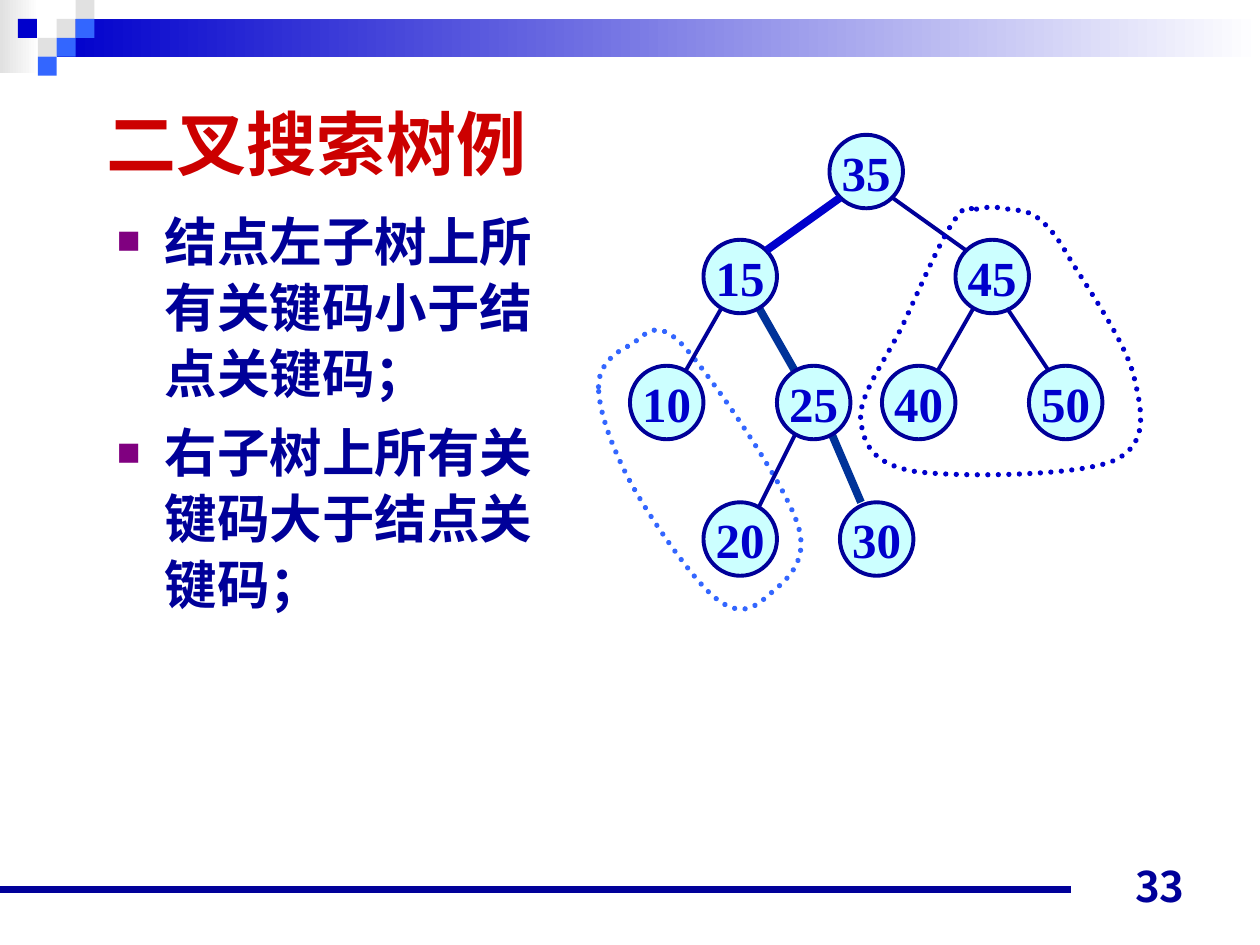
from dataclasses import dataclass
from typing import NamedTuple

import lxml.etree
import pptx
import pptx.dml.color
import pptx.enum.dml
import pptx.enum.shapes
import pptx.enum.text
import pptx.oxml.ns
import pptx.util


@dataclass(frozen=True)
class Theme:
    white: str = "FFFFFF"
    grey: str = "E1E1E1"
    royal: str = "0000CC"
    sky: str = "3366FF"
    navy: str = "000099"
    steel: str = "003399"
    node: str = "CCFFFF"
    title: str = "CC0000"
    bullet: str = "800080"
    text_font: str = "Arial"
    asian_font: str = "Noto Sans CJK JP"
    node_font: str = "Times New Roman"
    title_size: int = 40
    body_size: int = 30
    node_size: int = 28
    number_size: int = 24
    thin: float = 2.25
    dotted: float = 3
    thick: float = 4.5


class Grid(NamedTuple):
    left: float
    top: float
    width: float
    height: float

    def x(self, column: float) -> pptx.util.Emu:
        return pptx.util.Inches(self.left + column * self.width)

    def y(self, row: float) -> pptx.util.Emu:
        return pptx.util.Inches(self.top + row * self.height)


class Area(NamedTuple):
    column: float
    row: float
    columns: float
    rows: float


class Tile(NamedTuple):
    column: float
    row: float
    color: str


class Node(NamedTuple):
    key: str
    column: int
    row: int


class Edge(NamedTuple):
    start: tuple
    end: tuple
    color: str
    weight: float


class Outline(NamedTuple):
    color: str
    start: tuple
    curves: list


THEME = Theme()
PAGE = Grid(0, 0, 10, 7.5)
TILES = Grid(0, 0, 0.15, 0.15)
TREE = Grid(5, 1.07, 1 / 12, 1 / 12)
INCHES = Grid(0, 0, 1, 1)
NODE_SPAN = 7

HEADER_TILES = [
    Tile(3, 1, THEME.grey), Tile(4, 0, THEME.grey), Tile(4, 1, THEME.sky),
    Tile(2, 2, THEME.grey), Tile(0.95, 1, THEME.royal), Tile(3, 2, THEME.sky),
    Tile(2, 3, THEME.sky),
]
NODES = [
    Node("35", 19, 0), Node("15", 7, 10), Node("45", 31, 10),
    Node("50", 38, 22), Node("40", 24, 22), Node("25", 14, 22),
    Node("10", 0, 22), Node("20", 7, 35), Node("30", 20, 35),
]
LOWER_EDGES = [
    Edge((33, 16), (29, 23), THEME.navy, THEME.thin),
    Edge((19, 28), (22, 35), THEME.steel, THEME.thick),
    Edge((16, 28), (12, 36), THEME.navy, THEME.thin),
    Edge((9, 16), (5, 23), THEME.navy, THEME.thin),
    Edge((12, 16), (16, 23), THEME.steel, THEME.thick),
]
UPPER_EDGES = [
    Edge((20, 6), (13, 11), THEME.royal, THEME.thick),
    Edge((25, 6), (32, 11), THEME.navy, THEME.thin),
    Edge((35.9, 16.5), (39.9, 22.5), THEME.navy, THEME.thin),
]
LEFT_SUBTREE = Outline(THEME.sky, (4.75, 3.07), [
    ((4.75, 2.89), (4.89, 2.79), (5, 2.74)),
    ((5.11, 2.68), (5.19, 2.5), (5.42, 2.74)),
    ((5.64, 2.98), (6.22, 3.82), (6.33, 4.16)),
    ((6.44, 4.49), (6.19, 4.64), (6.08, 4.74)),
    ((5.97, 4.84), (5.85, 4.89), (5.67, 4.74)),
    ((5.49, 4.59), (5.15, 4.1), (5, 3.82)),
    ((4.85, 3.54), (4.75, 3.25), (4.75, 3.07)),
])
RIGHT_SUBTREE = Outline(THEME.royal, (7.75, 1.66), [
    ((7.82, 1.64), (7.92, 1.64), (8, 1.66)),
    ((8.08, 1.67), (8.17, 1.67), (8.25, 1.74)),
    ((8.33, 1.81), (8.38, 1.86), (8.5, 2.07)),
    ((8.63, 2.28), (8.94, 2.73), (9, 2.99)),
    ((9.06, 3.25), (9.13, 3.53), (8.83, 3.66)),
    ((8.54, 3.78), (7.58, 3.79), (7.25, 3.74)),
    ((6.92, 3.68), (6.85, 3.52), (6.83, 3.32)),
    ((6.82, 3.13), (7.04, 2.84), (7.17, 2.57)),
    ((7.29, 2.31), (7.47, 1.89), (7.58, 1.74)),
    ((7.69, 1.59), (7.68, 1.67), (7.75, 1.66)),
])
RULES = ["结点左子树上所有关键码小于结点关键码；", "右子树上所有关键码大于结点关键码；"]


def rgb(color: str) -> pptx.dml.color.RGBColor:
    return pptx.dml.color.RGBColor.from_string(color)


def add_child(parent, tag: str, **attributes: str):
    return lxml.etree.SubElement(parent, pptx.oxml.ns.qn(tag), attributes)


def frame(grid: Grid, area: Area) -> tuple:
    left, top = grid.x(area.column), grid.y(area.row)
    right, bottom = grid.x(area.column + area.columns), grid.y(area.row + area.rows)
    return left, top, right - left, bottom - top


def add_block(slide, grid: Grid, area: Area, color: str, fade: bool = False) -> None:
    shape = slide.shapes.add_shape(pptx.enum.shapes.MSO_SHAPE.RECTANGLE, *frame(grid, area))
    shape.shadow.inherit = False
    shape.line.fill.background()
    if fade:
        shape.fill.gradient()
        shape.fill.gradient_angle = 0
        for stop, stop_color in zip(shape.fill.gradient_stops, (color, THEME.white)):
            stop.color.rgb = rgb(stop_color)
    else:
        shape.fill.solid()
        shape.fill.fore_color.rgb = rgb(color)


def add_edge(slide, grid: Grid, edge: Edge) -> None:
    connector = slide.shapes.add_connector(
        pptx.enum.shapes.MSO_CONNECTOR.STRAIGHT,
        grid.x(edge.start[0]), grid.y(edge.start[1]), grid.x(edge.end[0]), grid.y(edge.end[1]))
    connector.line.color.rgb = rgb(edge.color)
    connector.line.width = pptx.util.Pt(edge.weight)
    add_child(connector._element.spPr, "a:effectLst")


def bend_segments(shape) -> None:
    segments = list(shape._element.iter(pptx.oxml.ns.qn("a:lnTo")))
    for first, second, end in zip(segments[::3], segments[1::3], segments[2::3]):
        curve = lxml.etree.Element(pptx.oxml.ns.qn("a:cubicBezTo"))
        first.addprevious(curve)
        for segment in (first, second, end):
            curve.append(segment[0])
            segment.getparent().remove(segment)


def add_outline(slide, outline: Outline) -> None:
    points = [(INCHES.x(x), INCHES.y(y)) for curve in outline.curves for x, y in curve]
    builder = slide.shapes.build_freeform(INCHES.x(outline.start[0]), INCHES.y(outline.start[1]))
    builder.add_line_segments(points, close=True)
    shape = builder.convert_to_shape()
    bend_segments(shape)
    shape.shadow.inherit = False
    shape.fill.background()
    shape.line.color.rgb = rgb(outline.color)
    shape.line.width = pptx.util.Pt(THEME.dotted)
    shape.line.dash_style = pptx.enum.dml.MSO_LINE.ROUND_DOT
    shape._element.spPr.find(pptx.oxml.ns.qn("a:ln")).set("cap", "rnd")


def add_run(paragraph, text: str, size: int, color: str, font: str, asian_font: str = "") -> None:
    run = paragraph.add_run()
    run.text = text
    run.font.size = pptx.util.Pt(size)
    run.font.bold = True
    run.font.name = font
    run.font.color.rgb = rgb(color)
    if asian_font:
        add_child(run._r.get_or_add_rPr(), "a:ea", typeface=asian_font)


def add_node(slide, node: Node) -> None:
    area = Area(node.column, node.row, NODE_SPAN, NODE_SPAN)
    shape = slide.shapes.add_shape(pptx.enum.shapes.MSO_SHAPE.OVAL, *frame(TREE, area))
    shape.shadow.inherit = False
    shape.fill.solid()
    shape.fill.fore_color.rgb = rgb(THEME.node)
    shape.line.color.rgb = rgb(THEME.navy)
    shape.line.width = pptx.util.Pt(THEME.thin)
    shape.text_frame.word_wrap = False
    shape.text_frame.vertical_anchor = pptx.enum.text.MSO_ANCHOR.MIDDLE
    paragraph = shape.text_frame.paragraphs[0]
    paragraph.alignment = pptx.enum.text.PP_ALIGN.CENTER
    add_run(paragraph, node.key, THEME.node_size, THEME.royal, THEME.node_font)


def add_text_frame(slide, area: Area, anchor):
    text_frame = slide.shapes.add_textbox(*frame(PAGE, area)).text_frame
    text_frame.word_wrap = True
    text_frame.vertical_anchor = anchor
    return text_frame


def add_bullet(paragraph) -> None:
    paragraph.line_spacing = 1.05
    paragraph.space_before = pptx.util.Pt(7.5)
    properties = paragraph._p.get_or_add_pPr()
    indent = pptx.util.Inches(0.38)
    properties.set("marL", str(indent))
    properties.set("indent", str(-indent))
    add_child(add_child(properties, "a:buClr"), "a:srgbClr", val=THEME.bullet)
    add_child(properties, "a:buSzPct", val="75000")
    add_child(properties, "a:buFont", typeface=THEME.text_font)
    add_child(properties, "a:buChar", char="■")


def main() -> None:
    presentation = pptx.Presentation()
    presentation.slide_width, presentation.slide_height = PAGE.x(1), PAGE.y(1)
    slide = presentation.slides.add_slide(presentation.slide_layouts[6])
    anchors = pptx.enum.text.MSO_ANCHOR

    add_block(slide, INCHES, Area(0, 0, 0.31, 0.58), THEME.grey, fade=True)
    add_block(slide, INCHES, Area(0.45, 0.15, 9.55, 0.3), THEME.royal, fade=True)
    for tile in HEADER_TILES:
        add_block(slide, TILES, Area(tile.column, tile.row, 1, 1), tile.color)
    add_edge(slide, INCHES, Edge((0, 7.06), (8.5, 7.06), THEME.navy, THEME.thick))

    add_outline(slide, LEFT_SUBTREE)
    for edge in LOWER_EDGES:
        add_edge(slide, TREE, edge)
    for node in NODES:
        add_node(slide, node)
    for edge in UPPER_EDGES:
        add_edge(slide, TREE, edge)
    add_outline(slide, RIGHT_SUBTREE)

    title = add_text_frame(slide, Area(0.075, 0.091, 0.388, 0.12), anchors.MIDDLE)
    add_run(title.paragraphs[0], "二叉搜索树例", THEME.title_size, THEME.title,
            THEME.text_font, THEME.asian_font)

    body = add_text_frame(slide, Area(0.083, 0.211, 0.37, 0.477), anchors.TOP)
    for index, rule in enumerate(RULES):
        paragraph = body.add_paragraph() if index else body.paragraphs[0]
        add_bullet(paragraph)
        add_run(paragraph, rule, THEME.body_size, THEME.navy, THEME.text_font, THEME.asian_font)

    number = add_text_frame(slide, Area(0.717, 0.904, 0.233, 0.067), anchors.BOTTOM).paragraphs[0]
    number.alignment = pptx.enum.text.PP_ALIGN.RIGHT
    add_run(number, "33", THEME.number_size, THEME.navy, THEME.asian_font)

    presentation.save("out.pptx")


if __name__ == "__main__":
    main()
